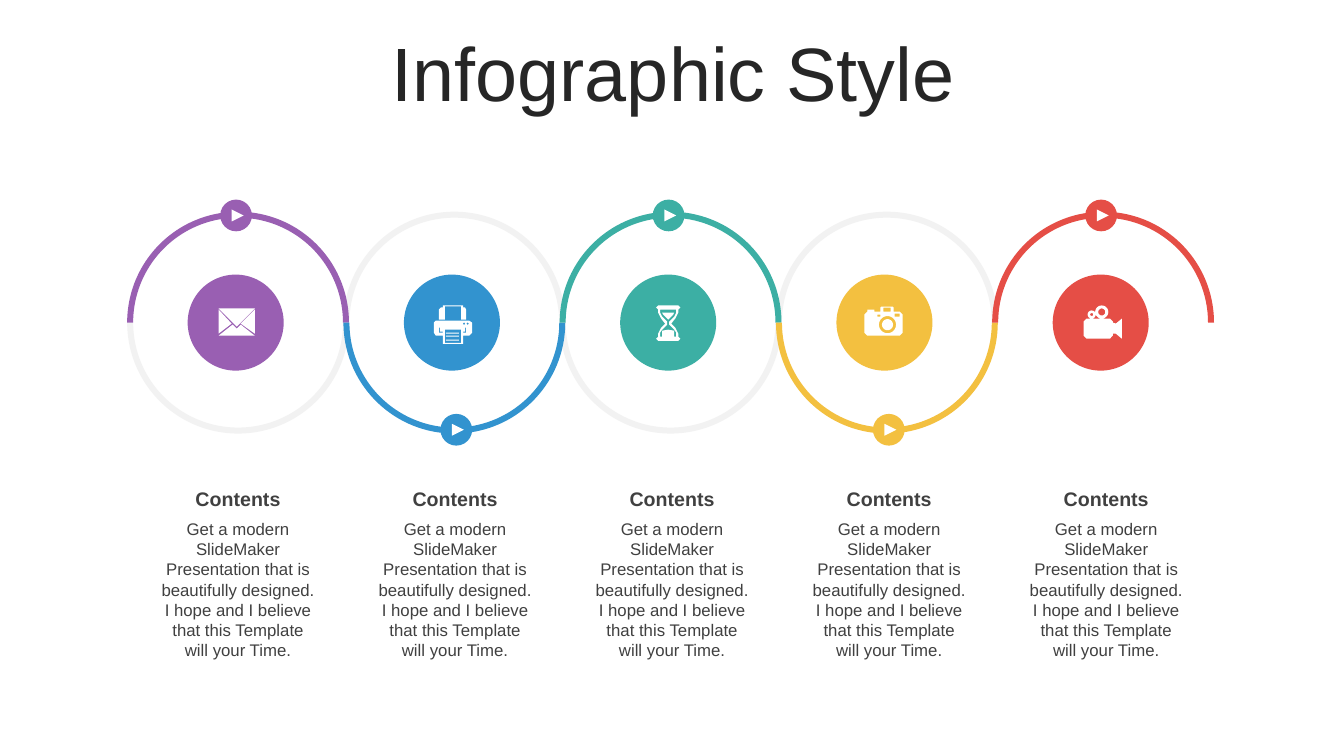
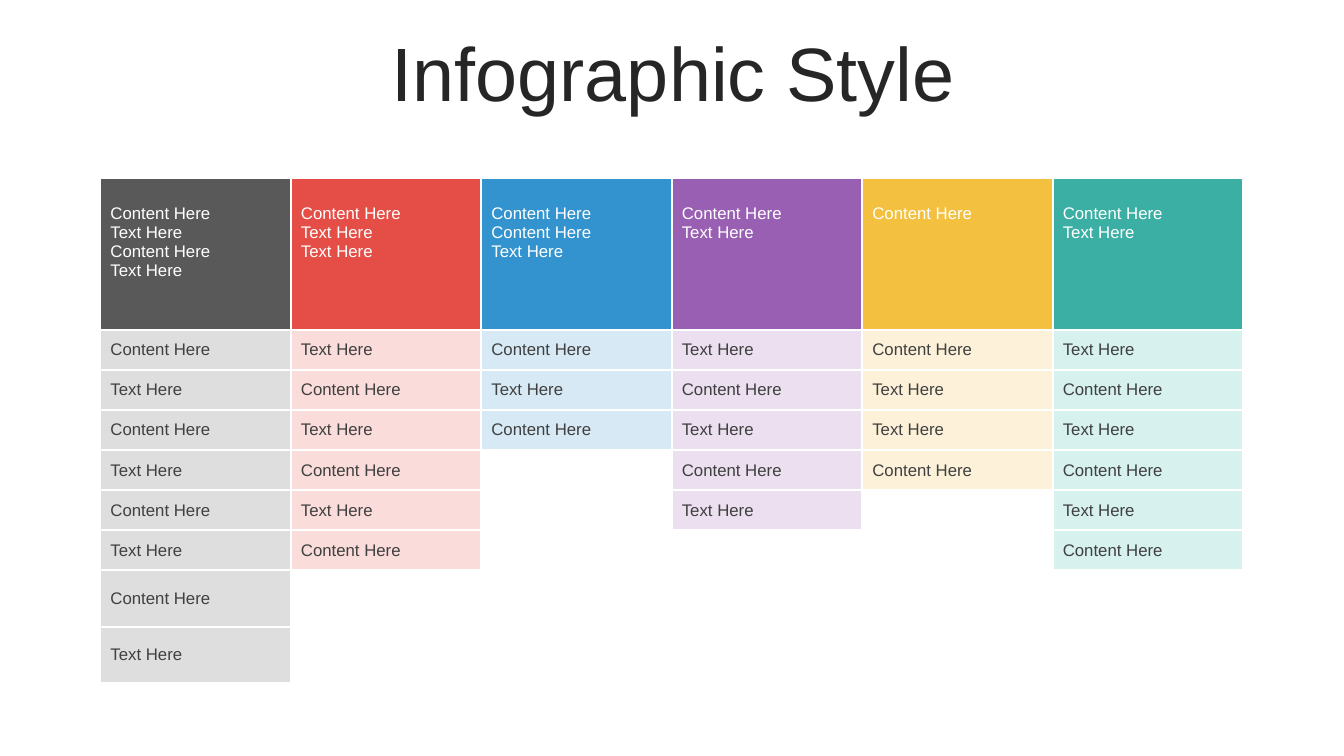
from math import cos, pi, sin

from lxml import etree
from pptx import Presentation
from pptx.dml.color import RGBColor
from pptx.enum.shapes import MSO_SHAPE
from pptx.enum.text import MSO_ANCHOR, PP_ALIGN
from pptx.oxml.ns import qn
from pptx.util import Cm, Pt

FONT = "Arial"
WHITE = RGBColor(0xFF, 0xFF, 0xFF)
TITLE_INK = RGBColor(0x26, 0x26, 0x26)
INK = RGBColor(0x40, 0x40, 0x40)
TRACK = RGBColor(0xF2, 0xF2, 0xF2)
GRAY = RGBColor(0x59, 0x59, 0x59)
RED = RGBColor(0xE5, 0x4E, 0x46)
BLUE = RGBColor(0x32, 0x93, 0xCF)
PURPLE = RGBColor(0x99, 0x5F, 0xB2)
YELLOW = RGBColor(0xF3, 0xC0, 0x40)
TEAL = RGBColor(0x3C, 0xAF, 0xA4)
PALE_GRAY = RGBColor(0xDE, 0xDE, 0xDE)
PALE_RED = RGBColor(0xFA, 0xDC, 0xDA)
PALE_BLUE = RGBColor(0xD6, 0xE9, 0xF5)
PALE_PURPLE = RGBColor(0xEB, 0xDF, 0xF0)
PALE_YELLOW = RGBColor(0xFD, 0xF2, 0xD9)
PALE_TEAL = RGBColor(0xD6, 0xF1, 0xEE)

OVAL, ARC, TRIANGLE = MSO_SHAPE.OVAL, MSO_SHAPE.BLOCK_ARC, MSO_SHAPE.FLOWCHART_EXTRACT
LEFT, CENTER = PP_ALIGN.LEFT, PP_ALIGN.CENTER
TOP, MIDDLE = MSO_ANCHOR.TOP, MSO_ANCHOR.MIDDLE

# Wave of arcs, in centimetres
WAVE_X, WAVE_Y, WAVE_STEP = 6.0, 8.13, 5.45
ARC_SIZE, DISC_SIZE, BADGE_SIZE, PLAY_SIZE = 5.59, 2.42, 0.8, 0.3
BADGE_RISE = 2.7
TEXT_X, TEXT_STEP = 3.75, 5.47

# Icon points are hundredths of an inch from the disc centre
ICON_UNIT = Cm(2.54) / 100
FINENESS = 100

STEP_HEADING = "Contents"
STEP_TEXT = ("Get a modern SlideMaker Presentation that is beautifully designed. "
             "I hope and I believe that this Template will your Time.")

CONTENT, TEXT = "Content Here", "Text Here"
ROW_HEIGHTS = [3.81] + [1.01] * 6 + [1.42] * 2
COLUMN_WIDTH = 4.8
TABLE_COLUMNS = [
    (GRAY, PALE_GRAY, [CONTENT, TEXT] * 2, [CONTENT, TEXT] * 4),
    (RED, PALE_RED, [CONTENT, TEXT, TEXT], [TEXT, CONTENT] * 3),
    (BLUE, PALE_BLUE, [CONTENT, CONTENT, TEXT], [CONTENT, TEXT, CONTENT]),
    (PURPLE, PALE_PURPLE, [CONTENT, TEXT], [TEXT, CONTENT] * 2 + [TEXT]),
    (YELLOW, PALE_YELLOW, [CONTENT], [CONTENT, TEXT, TEXT, CONTENT]),
    (TEAL, PALE_TEAL, [CONTENT, TEXT], [TEXT, CONTENT] * 3),
]


def ring(x, y, radius, sides=32):
    """Points of a circle."""
    angles = [2 * pi * side / sides for side in range(sides)]
    return [(x + radius * cos(a), y + radius * sin(a)) for a in angles]


def rect(left, top, right, bottom):
    return [(left, top), (right, top), (right, bottom), (left, bottom)]


def mirrored(half):
    """Close an outline whose right half mirrors the given left half."""
    return half + [(-x, y) for x, y in reversed(half)]


MAIL = [
    [(5, 2), (19, 13), (-17, 13), (-3, 2), (1, 6)],
    [(19, -13), (19, 11), (5, 1)],
    [(-17, -13), (-4, 1), (-17, 11)],
    [(-17, -14), (19, -14), (1, 4)],
]
PRINTER = [
    *[rect(-6, y, 7, y + 1) for y in (10, 13, 17)],
    rect(-7, 7, 9, 20),
    [(-13, 5), (-13, 10), (-9, 10), (-9, 9), (-12, 9), (-12, 5),
     (13, 5), (13, 9), (11, 9), (11, 10), (14, 10), (14, 5)],
    ring(12, 1, 1), ring(15.5, 1, 1),
    [(-16, -2), (17, -2), (20, 0), (20, 10), (17, 13), (11, 13), (11, 21),
     (-9, 21), (-9, 13), (-16, 13), (-18, 10), (-18, 0)],
    [(-9, -17), (11, -17), (11, -15), (13, -15), (14, -13), (14, -3), (9, -3),
     (9, -16), (-7, -16), (-7, -3), (-13, -3), (-13, -13), (-11, -15), (-9, -15)],
]
HOURGLASS = [
    mirrored([(0, 7), (-6, 8), (-6, 14)]),
    mirrored([(-6, -10), (-5, -8), (0, -3)]),
    mirrored([(-8, -13), (-8, -10), (-6, -6), (-1, -1), (-1, 2),
              (-6, 7), (-8, 10), (-8, 14)]),
    mirrored([(-10, -17), (-12, -15), (-10, -13), (-10, -10), (-7, -4), (-3, 1),
              (-7, 5), (-10, 11), (-10, 14), (-12, 16), (-10, 18)]),
]
CAMERA = [
    ring(3, 2, 5.5), ring(3, 2, 8.5),
    rect(-7, -8, -4, -6), rect(10, -9, 15, -6), rect(-1, -15, 6, -11),
    [(-3, -16), (8, -16), (9, -15), (9, -11), (15, -11), (18, -8), (18, 10),
     (15, 13), (-17, 13), (-20, 10), (-20, -8), (-17, -11), (-17, -13),
     (-10, -13), (-10, -11), (-4, -11), (-4, -15)],
]
VIDEO = [
    ring(-9, -8, 1.5), ring(-9, -8, 4), ring(1, -10.5, 3.5), ring(1, -10.5, 6.5),
    [(-14, -4), (9, -4), (12, -1), (12, 0), (15, 1), (21, -4), (21, 16), (15, 11),
     (12, 11), (12, 13), (9, 16), (-14, 16), (-17, 13), (-17, -1)],
]
STEPS = [(PURPLE, MAIL), (BLUE, PRINTER), (TEAL, HOURGLASS), (YELLOW, CAMERA), (RED, VIDEO)]


def write_text(frame, lines, size=12, color=INK, bold=False, align=LEFT, spacing=None):
    for index, line in enumerate(lines):
        para = frame.paragraphs[0] if index == 0 else frame.add_paragraph()
        para.alignment = align
        if spacing:
            para.line_spacing = spacing
        span = para.add_run()
        span.text = line
        span.font.name = FONT
        span.font.size = Pt(size)
        span.font.bold = bold
        span.font.color.rgb = color


def add_text(slide, text, left, top, width, height, anchor=TOP, **text_format):
    box = slide.shapes.add_textbox(Cm(left), Cm(top), Cm(width), Cm(height))
    box.text_frame.word_wrap = True
    box.text_frame.vertical_anchor = anchor
    write_text(box.text_frame, [text], align=CENTER, **text_format)


def paint(shape, color):
    shape.shadow.inherit = False
    shape.fill.solid()
    shape.fill.fore_color.rgb = color
    shape.line.fill.background()


def add_centred(slide, kind, x, y, size, color, rotation=0):
    """Add a square-framed shape around the point x, y."""
    shape = slide.shapes.add_shape(
        kind, Cm(x - size / 2), Cm(y - size / 2), Cm(size), Cm(size))
    shape.rotation = rotation
    paint(shape, color)
    return shape


def add_half_ring(slide, x, color, upper):
    arc = add_centred(slide, ARC, x, WAVE_Y, ARC_SIZE, color, 0 if upper else 180)
    for index, value in enumerate((108, 0, 0.027)):
        arc.adjustments[index] = value


def add_icon(slide, x, y, outlines):
    """Draw outlines as one shape; an outline inside another is a hole."""
    fine = [[(px * FINENESS, py * FINENESS) for px, py in points] for points in outlines]
    builder = slide.shapes.build_freeform(*fine[0][0], scale=ICON_UNIT / FINENESS)
    for index, points in enumerate(fine):
        if index:
            builder.move_to(*points[0])
        builder.add_line_segments(points[1:], close=True)
    paint(builder.convert_to_shape(Cm(x), Cm(y)), WHITE)


def add_badge(slide, x, y, color):
    add_centred(slide, OVAL, x, y, BADGE_SIZE, color)
    add_centred(slide, TRIANGLE, x + 0.04, y, PLAY_SIZE, WHITE, rotation=90)


def add_step(slide, index, color, outlines):
    x = WAVE_X + index * WAVE_STEP
    upper = index % 2 == 0
    side = -1 if upper else 1
    add_half_ring(slide, x, color, upper)
    add_centred(slide, OVAL, x - 0.06, WAVE_Y, DISC_SIZE, color)
    add_icon(slide, x - 0.06, WAVE_Y, outlines)
    add_badge(slide, x + side * 0.05, WAVE_Y + side * BADGE_RISE, color)
    left = TEXT_X + index * TEXT_STEP
    add_text(slide, STEP_HEADING, left, 12.14, 4.5, 0.86, size=14, bold=True)
    add_text(slide, STEP_TEXT, left, 12.95, 4.5, 3.84)


def add_borders(cell):
    properties = cell._tc.get_or_add_tcPr()
    for side in ("a:lnL", "a:lnR", "a:lnT", "a:lnB"):
        line = etree.SubElement(properties, qn(side), w=str(Pt(1.5)))
        fill = etree.SubElement(line, qn("a:solidFill"))
        etree.SubElement(fill, qn("a:srgbClr"), val=str(WHITE))


def fill_cell(cell, lines, fill, color=INK, anchor=MIDDLE, margin_top=0.13):
    add_borders(cell)
    cell.fill.solid()
    cell.fill.fore_color.rgb = fill
    cell.vertical_anchor = anchor
    cell.margin_top = Cm(margin_top)
    write_text(cell.text_frame, lines, color=color)


def clear_cell(cell):
    add_borders(cell)
    cell.fill.background()
    cell.margin_top = cell.margin_bottom = 0


def add_content_table(slide):
    frame = slide.shapes.add_table(
        len(ROW_HEIGHTS), len(TABLE_COLUMNS), Cm(2.53), Cm(4.5),
        Cm(COLUMN_WIDTH * len(TABLE_COLUMNS)), Cm(sum(ROW_HEIGHTS)))
    table = frame.table
    table.first_row = table.horz_banding = False
    for row, height in zip(table.rows, ROW_HEIGHTS):
        row.height = Cm(height)
    for column, (strong, pale, heading, entries) in enumerate(TABLE_COLUMNS):
        table.columns[column].width = Cm(COLUMN_WIDTH)
        fill_cell(table.cell(0, column), heading, strong,
                  color=WHITE, anchor=TOP, margin_top=0.65)
        for row in range(1, len(ROW_HEIGHTS)):
            cell = table.cell(row, column)
            if row <= len(entries):
                fill_cell(cell, [entries[row - 1]], pale)
            else:
                clear_cell(cell)


def add_titled_slide(deck):
    slide = deck.slides.add_slide(deck.slide_layouts[6])
    add_text(slide, "Infographic Style", 0.89, 0.94, 32.16, 2.01,
             anchor=MIDDLE, size=54, color=TITLE_INK, spacing=0.9)
    return slide


def main():
    deck = Presentation()
    deck.slide_width, deck.slide_height = Cm(33.87), Cm(19.05)

    wave_slide = add_titled_slide(deck)
    for index in range(len(STEPS) - 1):
        add_half_ring(wave_slide, WAVE_X + index * WAVE_STEP, TRACK, upper=index % 2 == 1)
    for index, (color, outlines) in enumerate(STEPS):
        add_step(wave_slide, index, color, outlines)

    add_content_table(add_titled_slide(deck))
    deck.save("out.pptx")


if __name__ == "__main__":
    main()
